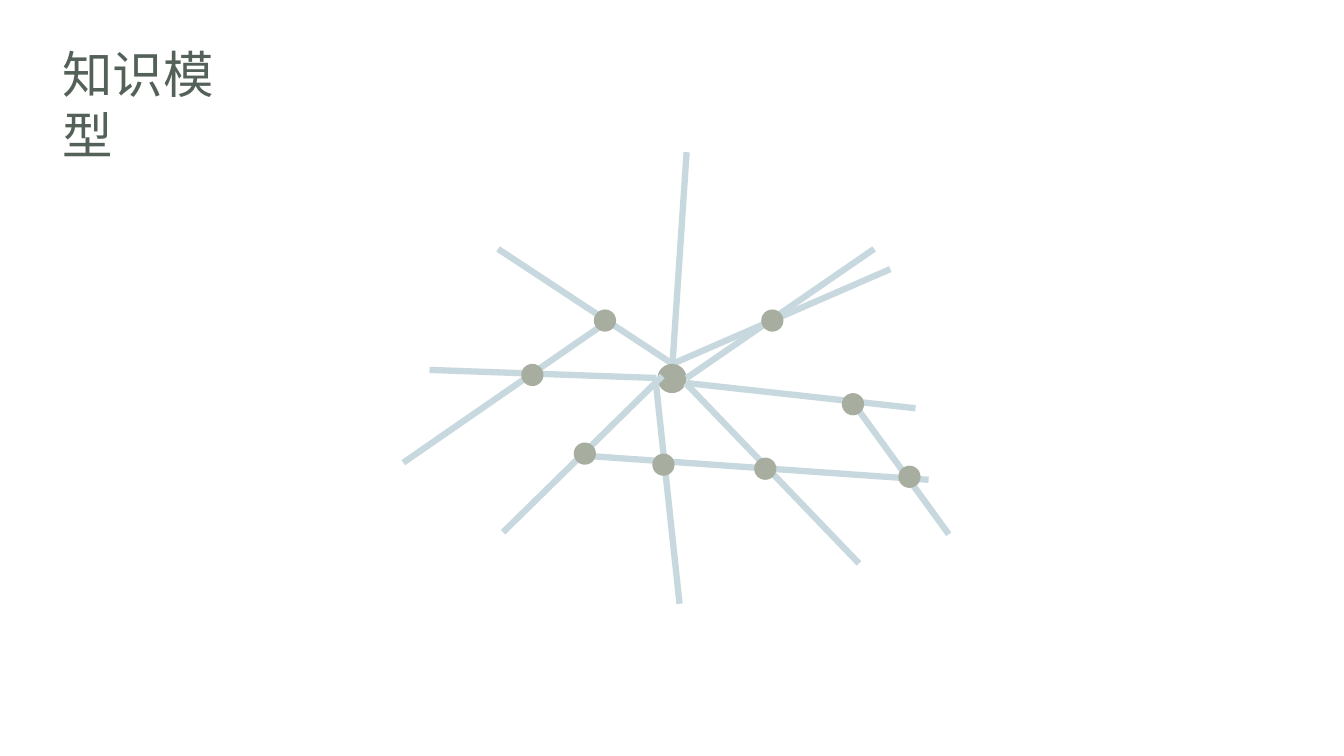
from dataclasses import dataclass

import lxml.etree
import pptx
import pptx.dml.color
import pptx.enum.shapes
import pptx.enum.text
import pptx.oxml.ns
import pptx.slide
import pptx.util

EMU_PER_PX = 9144  # 100 px to the inch
COLORS = {"link": "C8D8DF", "node": "A7AD9F", "title": "546158"}
FONT = "Noto Sans CJK JP"
LINK_WIDTH = pptx.util.Pt(4.5)
NODE_SIZE = 22
HUB_SIZE = 29


@dataclass(frozen=True)
class Link:
    x1: int
    y1: int
    x2: int
    y2: int


@dataclass(frozen=True)
class Node:
    left: int
    top: int
    size: int = NODE_SIZE


# Back to front
NETWORK: list[Link | Node] = [
    Link(667, 361, 681, 151),
    Link(667, 361, 883, 267),
    Link(667, 361, 494, 247),
    Node(652, 361, HUB_SIZE),
    Link(681, 375, 867, 247),
    Node(755, 307),
    Link(681, 380, 908, 405),
    Link(680, 380, 852, 559),
    Link(499, 528, 657, 373),
    Link(674, 599, 650, 375),
    Link(651, 375, 426, 367),
    Link(400, 459, 604, 318),
    Node(517, 361),
    Node(589, 307),
    Link(921, 476, 578, 452),
    Node(569, 439),
    Node(647, 450),
    Node(748, 454),
    Link(845, 398, 941, 530),
    Node(835, 390),
    Node(891, 462),
]


def px(length: int) -> pptx.util.Emu:
    return pptx.util.Emu(length * EMU_PER_PX)


def color(name: str) -> pptx.dml.color.RGBColor:
    return pptx.dml.color.RGBColor.from_string(COLORS[name])


def draw_link(slide: pptx.slide.Slide, link: Link) -> None:
    connector = slide.shapes.add_connector(
        pptx.enum.shapes.MSO_CONNECTOR.STRAIGHT,
        px(link.x1), px(link.y1), px(link.x2), px(link.y2),
    )
    connector.line.color.rgb = color("link")
    connector.line.width = LINK_WIDTH
    lxml.etree.SubElement(connector._element.spPr, pptx.oxml.ns.qn("a:effectLst"))


def draw_node(slide: pptx.slide.Slide, node: Node) -> None:
    shape = slide.shapes.add_shape(
        pptx.enum.shapes.MSO_SHAPE.OVAL,
        px(node.left), px(node.top), px(node.size), px(node.size),
    )
    shape.shadow.inherit = False
    shape.fill.solid()
    shape.fill.fore_color.rgb = color("node")
    shape.line.fill.background()


def draw_title(slide: pptx.slide.Slide, text: str) -> None:
    box = slide.shapes.add_textbox(px(52), px(38), px(194), px(71))
    frame = box.text_frame
    frame.word_wrap = True
    frame.auto_size = pptx.enum.text.MSO_AUTO_SIZE.SHAPE_TO_FIT_TEXT
    paragraph = frame.paragraphs[0]
    paragraph.text = text
    font = paragraph.font
    font.size = pptx.util.Pt(36)
    font.color.rgb = color("title")
    font.name = FONT
    east_asian = lxml.etree.SubElement(font._element, pptx.oxml.ns.qn("a:ea"))
    east_asian.set("typeface", FONT)


def main() -> None:
    presentation = pptx.Presentation()
    presentation.slide_width = px(1333)
    presentation.slide_height = px(750)
    slide = presentation.slides.add_slide(presentation.slide_layouts[6])
    for element in NETWORK:
        if isinstance(element, Link):
            draw_link(slide, element)
        else:
            draw_node(slide, element)
    draw_title(slide, "知识模型")
    presentation.save("out.pptx")


if __name__ == "__main__":
    main()
